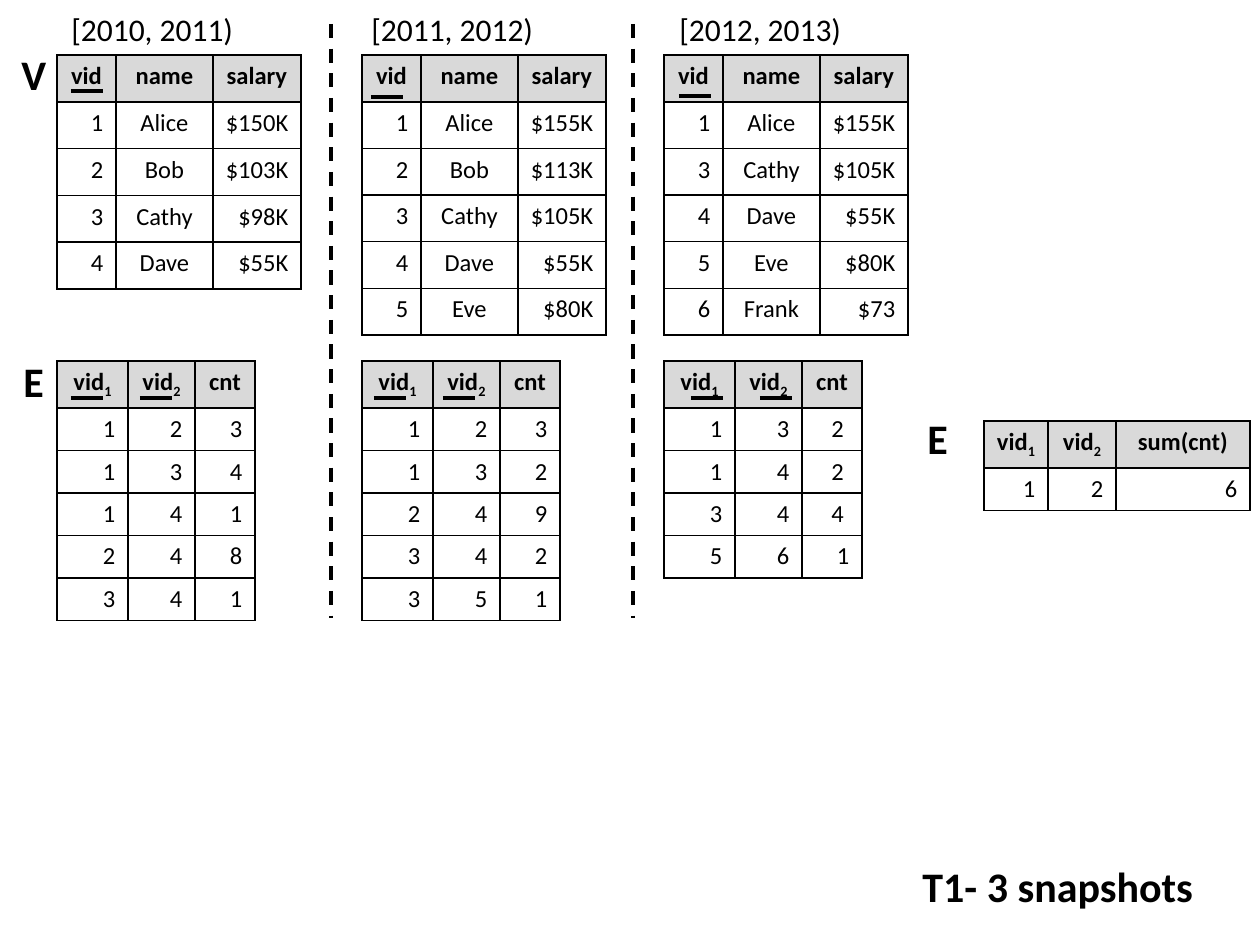
from dataclasses import dataclass

from lxml.etree import SubElement
from pptx import Presentation
from pptx.dml.color import RGBColor
from pptx.enum.dml import MSO_LINE
from pptx.enum.shapes import MSO_CONNECTOR
from pptx.enum.text import MSO_AUTO_SIZE, PP_ALIGN as Align
from pptx.oxml.ns import qn
from pptx.util import Pt

PX = 914400 / 126
BLACK = RGBColor(0x00, 0x00, 0x00)
GREY = RGBColor(0xD9, 0xD9, 0xD9)
FONT = "Calibri"
HEADER_HEIGHT = 47
UNDERLINE_WIDTH = 32

VERTEX_COLS = (59, 97, 88)
VERTEX_ALIGN = (Align.RIGHT, Align.CENTER, Align.RIGHT)
VERTEX_HEAD = "vid name salary"
EDGE_COLS = (71, 67, 60)
EDGE_HEAD = "vid_1 vid_2 cnt"
NUMBER_ALIGN = (Align.RIGHT,) * 3


@dataclass
class Grid:
    x: int
    y: int
    cols: tuple[int, ...]
    aligns: tuple
    head: str
    rows: list[str]
    body_height: int


@dataclass
class Label:
    text: str
    x: int
    y: int
    w: int
    h: int
    size: int = 24
    bold: bool = True


@dataclass
class Rule:
    x1: int
    y1: int
    x2: int
    y2: int
    dashed: bool = False


def px(n: float) -> int:
    return round(n * PX)


def vertices(x: int, rows: list[str], body_height: int) -> Grid:
    return Grid(x, 55, VERTEX_COLS, VERTEX_ALIGN, VERTEX_HEAD, rows, body_height)


def edges(x: int, rows: list[str]) -> Grid:
    return Grid(x, 361, EDGE_COLS, NUMBER_ALIGN, EDGE_HEAD, rows, 42 * len(rows))


def period(text: str, x: int) -> Label:
    return Label(text, x, 4, 189, 50, size=18, bold=False)


def underline(x: int, y: int) -> Rule:
    return Rule(x, y, x + UNDERLINE_WIDTH, y)


GRIDS = [
    vertices(57, ["1 Alice $150K", "2 Bob $103K", "3 Cathy $98K", "4 Dave $55K"], 187),
    edges(57, ["1 2 3", "1 3 4", "1 4 1", "2 4 8", "3 4 1"]),
    vertices(362, ["1 Alice $155K", "2 Bob $113K", "3 Cathy $105K",
                   "4 Dave $55K", "5 Eve $80K"], 233),
    edges(362, ["1 2 3", "1 3 2", "2 4 9", "3 4 2", "3 5 1"]),
    vertices(664, ["1 Alice $155K", "3 Cathy $105K", "4 Dave $55K",
                   "5 Eve $80K", "6 Frank $73"], 233),
    edges(664, ["1 3 2 ", "1 4 2 ", "3 4 4 ", "5 6 1"]),
    Grid(984, 421, (64, 68, 134), NUMBER_ALIGN, "vid_1 vid_2 sum(cnt)", ["1 2 6"], 42),
]

LABELS = [
    period("[2010, 2011)", 59),
    period("[2011, 2012)", 359),
    period("[2012, 2013)", 667),
    Label("V", 9, 42, 50, 63),
    Label("E", 11, 349, 47, 63),
    Label("E", 915, 406, 47, 63),
    Label("T1- 3 snapshots", 910, 854, 299, 63),
]

RULES = [
    Rule(331, 24, 331, 618, dashed=True),
    Rule(633, 24, 633, 618, dashed=True),
    *(underline(x, 398) for x in (71, 140, 374, 443, 691, 760)),
    underline(71, 91),
    underline(371, 97),
    underline(679, 96),
]


def write(p, text: str, *, size: int = 14, bold: bool = False,
          align=None, subscript: bool = False) -> None:
    p.alignment = align
    r = p.add_run()
    r.text = text
    r.font.name = FONT
    r.font.size = Pt(size)
    r.font.bold = bold
    r.font.color.rgb = BLACK
    if subscript:
        r._r.get_or_add_rPr().set("baseline", "-25000")


def add_borders(cell) -> None:
    tc_pr = cell._tc.get_or_add_tcPr()
    for side in ("a:lnL", "a:lnR", "a:lnT", "a:lnB"):
        ln = SubElement(tc_pr, qn(side), w=str(Pt(1)))
        fill = SubElement(ln, qn("a:solidFill"))
        SubElement(fill, qn("a:srgbClr"), val=str(BLACK))


def fill_cell(cell, text: str, align, header: bool) -> None:
    add_borders(cell)
    if header:
        cell.fill.solid()
        cell.fill.fore_color.rgb = GREY
    else:
        cell.fill.background()
    p = cell.text_frame.paragraphs[0]
    base, _, index = text.partition("_")
    write(p, base, bold=header, align=align)
    if index:
        write(p, index, bold=header, align=align, subscript=True)


def draw_grid(slide, grid: Grid) -> None:
    n = len(grid.rows)
    table = slide.shapes.add_table(
        n + 1, len(grid.cols), px(grid.x), px(grid.y),
        px(sum(grid.cols)), px(HEADER_HEIGHT + grid.body_height)).table
    table.first_row = table.horz_banding = False
    for column, width in zip(table.columns, grid.cols):
        column.width = px(width)
    for i, line in enumerate([grid.head, *grid.rows]):
        header = i == 0
        table.rows[i].height = px(HEADER_HEIGHT if header else grid.body_height / n)
        for j, text in enumerate(line.split(" ", 2)):
            align = Align.CENTER if header else grid.aligns[j]
            fill_cell(table.cell(i, j), text, align, header)


def draw_label(slide, label: Label) -> None:
    box = slide.shapes.add_textbox(px(label.x), px(label.y), px(label.w), px(label.h))
    tf = box.text_frame
    tf.word_wrap = False
    tf.auto_size = MSO_AUTO_SIZE.SHAPE_TO_FIT_TEXT
    write(tf.paragraphs[0], label.text, size=label.size, bold=label.bold)


def draw_rule(slide, rule: Rule) -> None:
    line = slide.shapes.add_connector(
        MSO_CONNECTOR.STRAIGHT, px(rule.x1), px(rule.y1), px(rule.x2), px(rule.y2))
    line.line.color.rgb = BLACK
    line.line.width = Pt(2)
    if rule.dashed:
        line.line.dash_style = MSO_LINE.DASH
    SubElement(line._element.spPr, qn("a:effectLst"))


def main() -> None:
    prs = Presentation()
    prs.slide_width, prs.slide_height = px(1260), px(945)
    slide = prs.slides.add_slide(prs.slide_layouts[6])
    for grid in GRIDS:
        draw_grid(slide, grid)
    for rule in RULES:
        draw_rule(slide, rule)
    for label in LABELS:
        draw_label(slide, label)
    prs.save("out.pptx")


if __name__ == "__main__":
    main()
